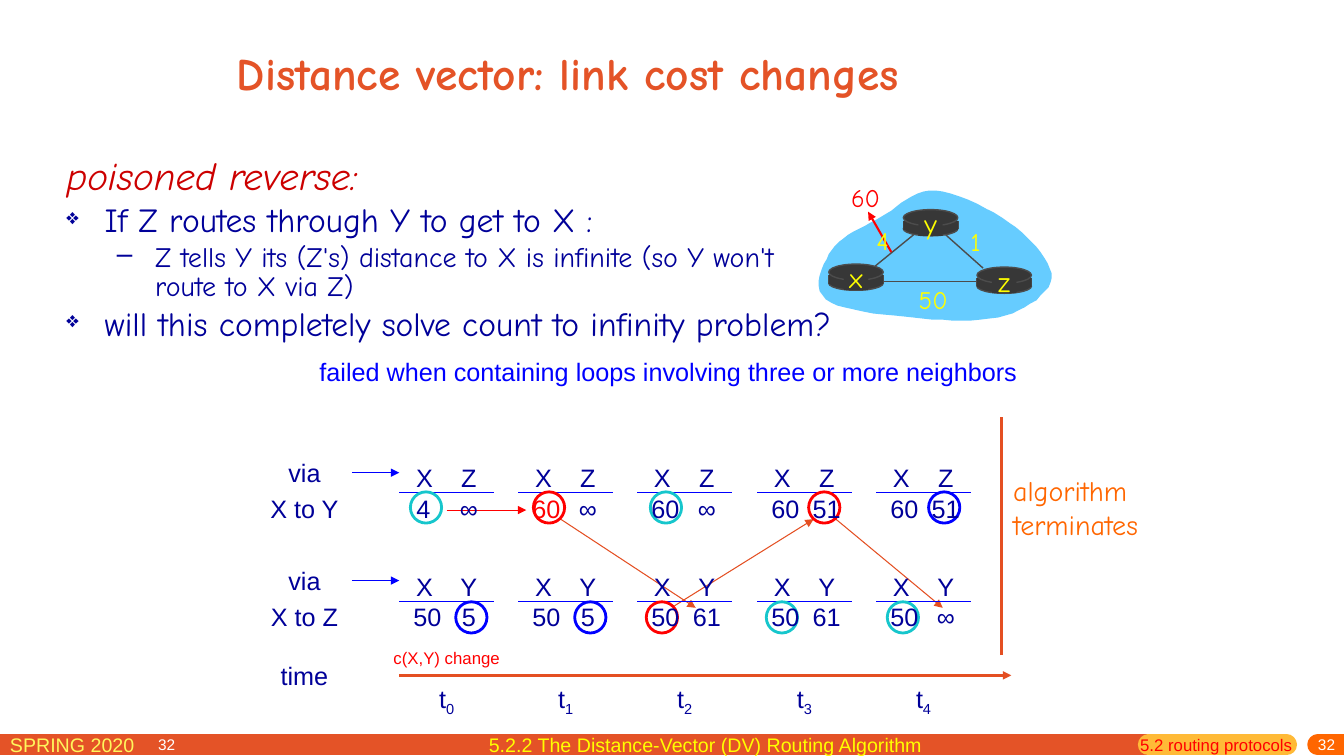
import pptx
import pptx.util
import pptx.dml.color
import pptx.enum.shapes
import pptx.enum.text
import pptx.oxml.ns
import lxml.etree

PX = 9144
NAVY, BLUE, RED, TEAL = "000099", "0000FF", "FF0000", "16C6CC"
RUST, GOLD, GREY, DARK = "E44F22", "FFFF00", "4C4C4C", "373737"
HAND = "Comic Neue"
Pt = pptx.util.Pt
ALIGN = pptx.enum.text.PP_ALIGN
MID = pptx.enum.text.MSO_ANCHOR.MIDDLE
FORM = pptx.enum.shapes.MSO_SHAPE
qn = pptx.oxml.ns.qn


def hue(code):
    return pptx.dml.color.RGBColor.from_string(code)


def write(text, at=None, into=None, size=18, color=NAVY, font="Arial",
          bold=False, italic=False, align=None, wrap=True, tabs=()):
    frame = None
    if into is None:
        frame = slide.shapes.add_textbox(*[v * PX for v in at]).text_frame
        frame.word_wrap = wrap
        into = frame.paragraphs[0]
    if align is not None:
        into.alignment = align
    if tabs:
        stops = lxml.etree.SubElement(into._p.get_or_add_pPr(), qn("a:tabLst"))
        for stop in tabs:
            lxml.etree.SubElement(stops, qn("a:tab"), pos=str(stop * PX), algn="ctr")
    run = into.add_run()
    run.text = text
    run.font.size = Pt(size)
    run.font.name = font
    run.font.bold = bold
    run.font.italic = italic
    run.font.color.rgb = hue(color)
    return frame


deck = pptx.Presentation()
deck.slide_width, deck.slide_height = 1333 * PX, 750 * PX
slide = deck.slides.add_slide(deck.slide_layouts[5])

title = slide.shapes.title
title.left, title.top, title.width, title.height = [v * PX for v in (225, 17, 850, 110)]
title.text_frame.vertical_anchor = MID
write("Distance vector: link cost changes", into=title.text_frame.paragraphs[0],
      size=32.4, color="E45327", font=HAND, bold=True, align=ALIGN.LEFT)

start = (825, 248)
curves = [
    (834, 234, 857, 225, 874, 215), (891, 206, 906, 187, 928, 189),
    (951, 190, 988, 211, 1007, 225), (1026, 240, 1044, 261, 1043, 276),
    (1041, 290, 1019, 307, 997, 313), (974, 320, 935, 318, 906, 315),
    (876, 312, 832, 308, 819, 297), (805, 285, 816, 261, 825, 248),
]
dots = []
last = start
for ax, ay, bx, by, cx, cy in curves:
    for step in range(1, 11):
        t = step / 10
        u = 1 - t
        dots.append([u**3 * p + 3 * u * u * t * a + 3 * u * t * t * b + t**3 * c
                     for p, a, b, c in zip(last, (ax, ay), (bx, by), (cx, cy))])
    last = (cx, cy)
pen = slide.shapes.build_freeform(*start, scale=PX)
pen.add_line_segments(dots, close=True)
cloud = pen.convert_to_shape()
cloud.shadow.inherit = False
cloud.fill.solid()
cloud.fill.fore_color.rgb = hue("66CCFF")
cloud.line.fill.background()

nodes = [("x", 822, 262), ("z", 969, 265), ("y", 896, 208)]
steps = [
    ("4", "∞", 11, TEAL, "50", "5", 56, BLUE),
    ("60", "∞", 15, RED, "50", "5", 56, BLUE),
    ("60", "∞", 13, TEAL, "50", "61", 9, RED),
    ("60", "51", 51, RED, "50", "61", 9, TEAL),
    ("60", "51", 52, BLUE, "50", "∞", 11, TEAL),
]
lefts = [round(396 + 118.25 * i) for i in range(len(steps))]

lines = [
    (0, 739, 1139, 739, "E45327", 15, "rnd"),
    (1139, 739, 1276, 739, "FFBA37", 15, "rnd"),
    (1307, 739, 1333, 739, "FF6600", 15, "rnd"),
    (868, 264, 906, 233, GREY, 1, ""),
    (938, 233, 975, 266, GREY, 1, ""),
    (971, 279, 877, 279, GREY, 1, ""),
    (884, 250, 861, 210, RED, 1.5, "tip"),
    (396, 670, 1003, 670, RUST, 2, "tip"),
    (993, 650, 993, 414, RUST, 2, ""),
    (556, 515, 690, 603, RUST, 0.75, "tip"),
    (669, 601, 807, 515, RUST, 0.75, "tip"),
    (829, 515, 935, 603, RUST, 0.75, "tip"),
    (443, 506, 522, 506, RED, 0.75, "tip"),
]
for y in (469, 576):
    lines.append((349, y, 396, y, BLUE, 0.75, "tip"))
for left in lefts:
    for y in (489, 597):
        lines.append((left, y, left + 94, y, BLUE, 0.75, ""))
for name, x, y in nodes:
    for side in (x, x + 54):
        lines.append((side, y + 11, side, y + 19, GREY, 1, ""))

for x1, y1, x2, y2, color, width, end in lines:
    link = slide.shapes.add_connector(pptx.enum.shapes.MSO_CONNECTOR.STRAIGHT,
                                      x1 * PX, y1 * PX, x2 * PX, y2 * PX)
    link.line.color.rgb = hue(color)
    link.line.width = Pt(width)
    edge = link.line._get_or_add_ln()
    if end == "tip":
        lxml.etree.SubElement(edge, qn("a:tailEnd"), type="triangle")
    elif end:
        edge.set("cap", end)
    lxml.etree.SubElement(link._element.spPr, qn("a:effectLst"))

shapes = []
for name, x, y in nodes:
    shapes += [
        (FORM.OVAL, x, y + 12, 54, 14, DARK, GREY, 1),
        (FORM.RECTANGLE, x, y + 11, 54, 9, DARK, None, 0),
        (FORM.OVAL, x, y, 54, 16, DARK, GREY, 1),
        (FORM.RECTANGLE, x + 15, y + 3, 24, 23, DARK, None, 0),
    ]
for left, (a, b, top, hot, c, d, low, cold) in zip(lefts, steps):
    shapes += [
        (FORM.OVAL, left + top, 488, 31, 31, None, hot, 2),
        (FORM.OVAL, left + low, 597, 31, 31, None, cold, 2),
    ]
for kind, x, y, w, h, fill, color, width in shapes:
    item = slide.shapes.add_shape(kind, x * PX, y * PX, w * PX, h * PX)
    item.shadow.inherit = False
    if fill:
        item.fill.solid()
        item.fill.fore_color.rgb = hue(fill)
    else:
        item.fill.background()
    if color:
        item.line.color.rgb = hue(color)
        item.line.width = Pt(width)
    else:
        item.line.fill.background()

for name, x, y in nodes:
    write(name, (x + 9, y - 8, 36, 43), size=20, color=GOLD, font=HAND,
          align=ALIGN.CENTER, wrap=False)
for cost, x, y, w, color in [("1", 952, 220, 31, GOLD), ("4", 858, 219, 35, GOLD),
                             ("50", 900, 277, 51, GOLD), ("60", 833, 176, 51, RED)]:
    write(cost, (x, y, w, 40), color=color, font=HAND, align=ALIGN.CENTER, wrap=False)

body = write("poisoned reverse:", (56, 152, 789, 229), size=28, color="CC0000",
             font=HAND, italic=True)
for text, size in [
    ("If Z routes through Y to get to X :", 24),
    ("Z tells Y its (Z's) distance to X is infinite (so Y won't route to X via Z)", 20),
    ("will this completely solve count to infinity problem?", 24),
]:
    write(text, into=body.add_paragraph(), size=size, font=HAND)
for para, mark, inset in zip(body.paragraphs, ("", "❖", "–", "❖"), (38, 38, 88, 38)):
    para.line_spacing = 0.85
    para.space_before = Pt(round(para.runs[0].font.size.pt * 0.2, 1))
    props = para._p.get_or_add_pPr()
    props.set("marL", str(inset * PX))
    props.set("indent", str(-38 * PX))
    if mark:
        tint = lxml.etree.SubElement(props, qn("a:buClr"))
        lxml.etree.SubElement(tint, qn("a:srgbClr"), val=NAVY)
        if mark == "❖":
            lxml.etree.SubElement(props, qn("a:buSzPct"), val="65000")
        lxml.etree.SubElement(props, qn("a:buChar"), char=mark)

write("failed when containing loops involving three or more neighbors",
      (307, 349, 824, 40), color=BLUE)
ending = write("algorithm", (995, 465, 163, 77), size=20, color="FF6600", font=HAND, wrap=False)
write("terminates", into=ending.add_paragraph(), size=20, color="FF6600", font=HAND)

for text, y in [("via", 449), ("X to Y", 484), ("via", 556), ("X to Z", 592), ("time", 650)]:
    write(text, (255, y, 94, 40), align=ALIGN.CENTER)
write("c(X,Y) change", (347, 638, 192, 30), size=12, color=RED, align=ALIGN.CENTER)

for i, (left, (a, b, top, hot, c, d, low, cold)) in enumerate(zip(lefts, steps)):
    for y, head, one, two in [(454, "Z", a, b), (562, "Y", c, d)]:
        grid = write(f"\tX\t{head}", (left, y, 94, 71), tabs=(25, 69))
        grid.margin_left = grid.margin_right = 0
        row = grid.add_paragraph()
        shade = RED if i == 1 and y == 454 else NAVY
        write(f"\t{one}", into=row, color=shade, tabs=(24 if one == "4" else 28, 69))
        write(f"\t{two}", into=row)
    tick = write("t", (left, 673, 94, 40), align=ALIGN.CENTER).paragraphs[0]
    write(str(i), into=tick)
    tick.runs[1].font._element.set("baseline", "-25000")

write("SPRING 2020", (0, 722, 229, 31), size=14, color="FFF65C")
for x, align in [(147, ALIGN.LEFT), (1075, ALIGN.RIGHT)]:
    page = write("32", (x, 732, 259, 18), size=11, color="FFFFFF", align=align)
    page.vertical_anchor = MID
    page.margin_top = 0
write("5.2 routing protocols", (1121, 724, 184, 31), size=12, color=RED)
write("5.2.2 The Distance-Vector (DV) Routing Algorithm", (475, 722, 452, 34),
      size=14, color=GOLD, wrap=False)

deck.save("out.pptx")
